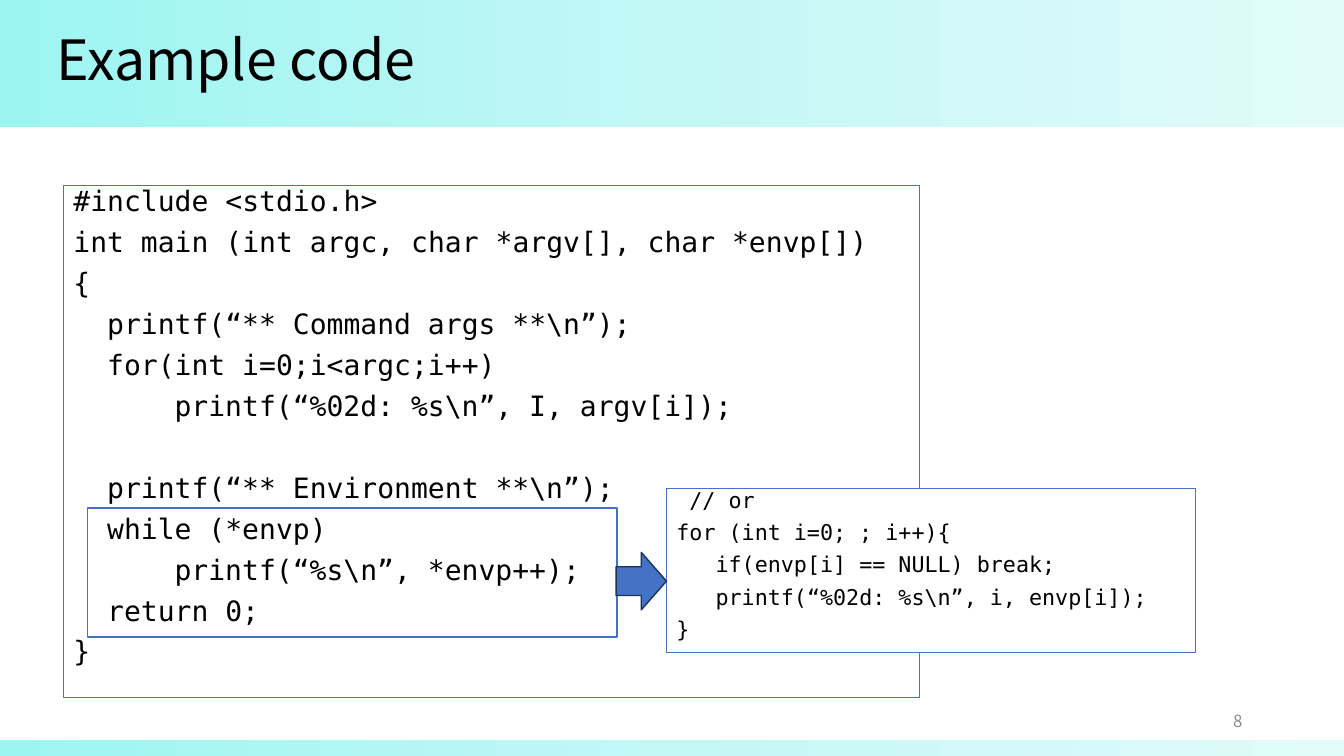
import copy

import pptx
import pptx.dml.color
import pptx.enum.shapes
import pptx.enum.text
import pptx.util

RGBColor = pptx.dml.color.RGBColor
Shapes = pptx.enum.shapes.MSO_SHAPE
Anchor = pptx.enum.text.MSO_ANCHOR
Align = pptx.enum.text.PP_ALIGN

WIDTH = pptx.util.Inches(13.33)
HEIGHT = pptx.util.Inches(7.5)
BLACK = RGBColor(0, 0, 0)
WHITE = RGBColor(255, 255, 255)
GRAY = RGBColor(0x8C, 0x8C, 0x8C)
BLUE = RGBColor(0x44, 0x72, 0xC4)
NAVY = RGBColor(0x1E, 0x32, 0x56)
BAND_COLORS = (
    RGBColor(0x9D, 0xF5, 0xF2),
    RGBColor(0xC3, 0xF7, 0xF6),
    RGBColor(0xE1, 0xFB, 0xFA),
)
CODE_FONT = "DejaVu Sans Mono"
TEXT_FONT = "Noto Sans CJK KR"
CHARACTER_WIDTH = 0.602
SPACE_BEFORE = 10

MAIN_CODE = (
    (0, "#include <stdio.h>"),
    (0, "int main (int argc, char *argv[], char *envp[])"),
    (0, "{"),
    (2, "printf(“** Command args **\\n”);"),
    (2, "for(int i=0;i<argc;i++)"),
    (6, "printf(“%02d: %s\\n”, I, argv[i]);"),
    None,
    (2, "printf(“** Environment **\\n”);"),
    (2, "while (*envp)"),
    (6, "printf(“%s\\n”, *envp++);"),
    (2, "return 0;"),
    (0, "}"),
)
ALTERNATIVE_CODE = (
    (1, "// or"),
    (0, "for (int i=0; ; i++){"),
    (3, "if(envp[i] == NULL) break;"),
    (3, "printf(“%02d: %s\\n”, i, envp[i]);"),
    (0, "}"),
)


def percent_box(left, top, width, height):
    return (
        round(WIDTH * left / 100),
        round(HEIGHT * top / 100),
        round(WIDTH * width / 100),
        round(HEIGHT * height / 100),
    )


def add_figure(slide, kind, box, fill=None, line=None, line_width=1):
    shape = slide.shapes.add_shape(kind, *percent_box(*box))
    shape.shadow.inherit = False
    if fill is None:
        shape.fill.background()
    else:
        shape.fill.solid()
        shape.fill.fore_color.rgb = fill
    if line is None:
        shape.line.fill.background()
    else:
        shape.line.color.rgb = line
        shape.line.width = pptx.util.Pt(line_width)
    return shape


def add_band(slide, top, height):
    shape = add_figure(slide, Shapes.RECTANGLE, (0, top, 100, height))
    shape.fill.gradient()
    shape.fill.gradient_angle = 0
    stop_list = shape.fill._fill._gradFill.gsLst
    stop_list.append(copy.deepcopy(stop_list[-1]))
    for index, (stop, color) in enumerate(zip(shape.fill.gradient_stops, BAND_COLORS)):
        stop.position = index / 2
        stop.color.rgb = color


def format_run(run, font, size, color):
    run.font.name = font
    run.font.size = pptx.util.Pt(size)
    run.font.color.rgb = color


def add_label(slide, box, text, size, color, alignment, line_spacing=1.0):
    frame = slide.shapes.add_textbox(*percent_box(*box)).text_frame
    frame.word_wrap = True
    frame.vertical_anchor = Anchor.MIDDLE
    frame.text = text
    paragraph = frame.paragraphs[0]
    paragraph.alignment = alignment
    paragraph.line_spacing = line_spacing
    format_run(paragraph.runs[0], TEXT_FONT, size, color)


def add_code(slide, box, lines, size, line_spacing, fill=None):
    shape = add_figure(slide, Shapes.RECTANGLE, box, fill, BLUE, 0.75)
    frame = shape.text_frame
    frame.word_wrap = True
    frame.vertical_anchor = Anchor.TOP
    line_height = size * 1.2 * line_spacing + SPACE_BEFORE
    space_before = SPACE_BEFORE
    paragraph = frame.paragraphs[0]
    for number, line in enumerate(lines):
        if line is None:
            space_before += line_height
            continue
        if number:
            paragraph = frame.add_paragraph()
        indent, paragraph.text = line
        paragraph.alignment = Align.LEFT
        paragraph.line_spacing = line_spacing
        paragraph.space_before = pptx.util.Pt(space_before)
        margin = pptx.util.Pt(indent * size * CHARACTER_WIDTH)
        paragraph._p.get_or_add_pPr().set("marL", str(margin))
        format_run(paragraph.runs[0], CODE_FONT, size, BLACK)
        space_before = SPACE_BEFORE


def main():
    presentation = pptx.Presentation()
    presentation.slide_width = WIDTH
    presentation.slide_height = HEIGHT
    slide = presentation.slides.add_slide(presentation.slide_layouts[6])

    add_band(slide, 97.87, 2.13)
    add_band(slide, 0, 16.8)
    add_code(slide, (4.73, 24.53, 63.69, 67.73), MAIN_CODE, 20, 0.8)
    add_label(slide, (3.45, 3.6, 94.37, 9.33), "Example code", 39.6, BLACK, Align.LEFT, 0.9)
    add_code(slide, (49.59, 64.67, 39.38, 21.6), ALTERNATIVE_CODE, 15.5, 0.7, WHITE)
    add_label(slide, (70.67, 92.67, 22.51, 5.33), "8", 12, GRAY, Align.RIGHT)
    add_figure(slide, Shapes.RECTANGLE, (6.53, 67.2, 39.38, 17.07), line=BLUE)
    add_figure(slide, Shapes.RIGHT_ARROW, (45.84, 73.07, 3.75, 7.6), BLUE, NAVY)
    presentation.save("out.pptx")


if __name__ == "__main__":
    main()
